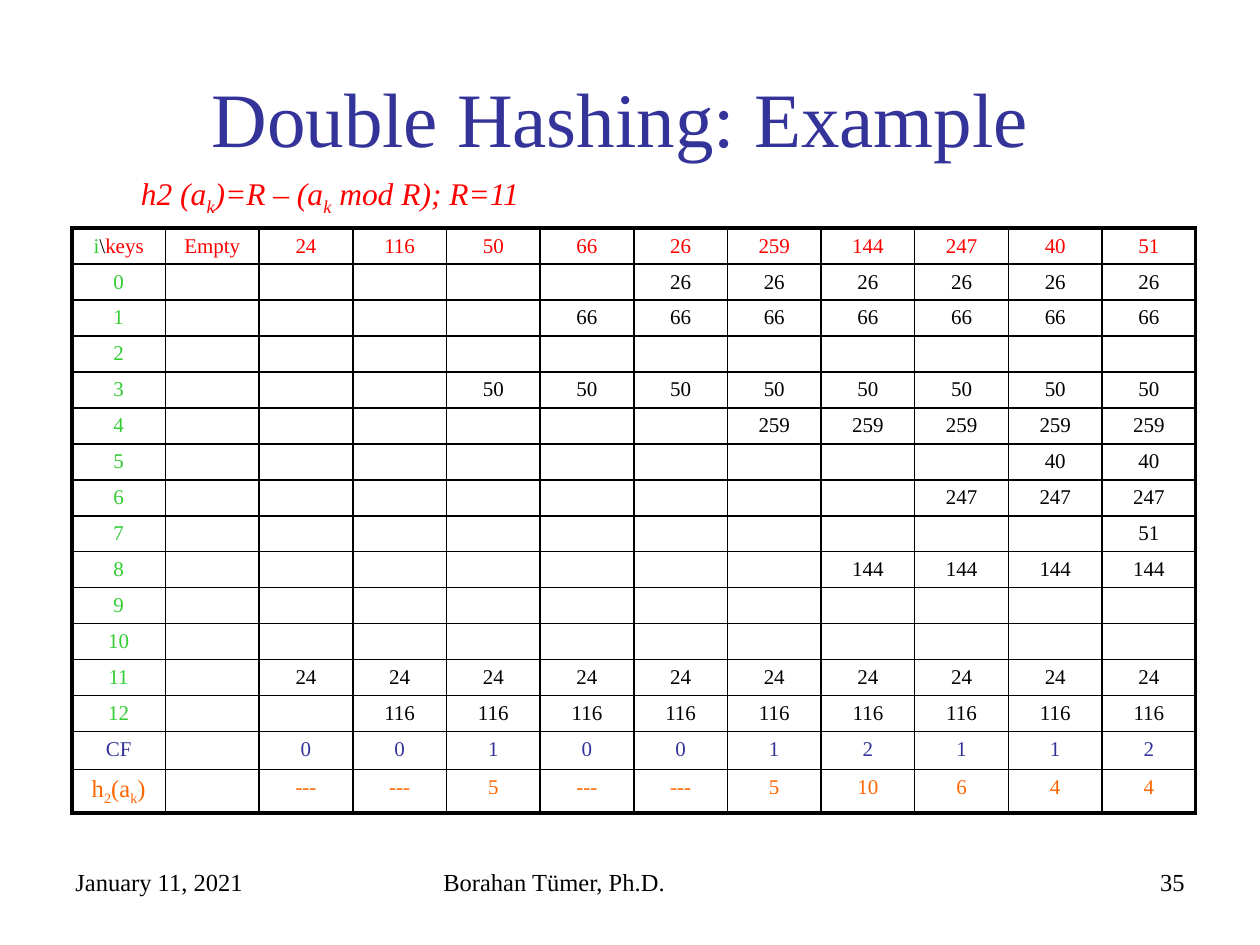
from dataclasses import dataclass

from lxml import etree
from pptx import Presentation
from pptx.dml.color import RGBColor
from pptx.enum import text as t
from pptx.oxml import ns
from pptx.util import Inches, Pt


@dataclass(frozen=True)
class Theme:
    font: str = "Times New Roman"
    black: str = "000000"
    blue: str = "333399"
    red: str = "FF0000"
    green: str = "33CC33"
    orange: str = "FF6600"
    head: int = 44
    rule: int = 18
    note: int = 14
    cell: int = 12
    thin: float = 1
    thick: float = 2.25


T = Theme()
LEFT, MID, RIGHT = t.PP_ALIGN.LEFT, t.PP_ALIGN.CENTER, t.PP_ALIGN.RIGHT

# key, slot it lands in, collisions, second hash
STEPS = [
    (24, 11, 0, "---"), (116, 12, 0, "---"), (50, 3, 1, 5), (66, 1, 0, "---"),
    (26, 0, 0, "---"), (259, 4, 1, 5), (144, 8, 2, 10), (247, 6, 1, 6),
    (40, 5, 1, 4), (51, 7, 2, 4),
]
SLOTS = 13


def write(frame, parts, size=T.cell, color=T.black, align=LEFT, italic=False):
    """Fill a frame with a string, or with (text, options) runs."""
    para = frame.paragraphs[0]
    para.alignment = align
    if isinstance(parts, str):
        parts = [(parts, {})]
    for words, opts in parts:
        run = para.add_run()
        run.text = words
        font = run.font
        font.name, font.size, font.italic = T.font, Pt(size), italic
        font.color.rgb = RGBColor.from_string(opts.get("color", color))
        if opts.get("sub"):
            font._element.set("baseline", "-25000")


def label(slide, box, parts, wrap=True, **fmt):
    frame = slide.shapes.add_textbox(*map(Inches, box)).text_frame
    frame.word_wrap = wrap
    write(frame, parts, **fmt)


def title(slide, words):
    shape = slide.shapes.title
    shape.left, shape.top = Inches(0.5), Inches(0.3)
    shape.width, shape.height = Inches(9), Inches(1.25)
    frame = shape.text_frame
    frame.auto_size = t.MSO_AUTO_SIZE.NONE
    frame.vertical_anchor = t.MSO_ANCHOR.MIDDLE
    write(frame, words, size=T.head, color=T.blue, align=MID)


def border(cell, **widths):
    """Draw the sides L, R, T and B, with widths in points."""
    props = cell._tc.get_or_add_tcPr()
    for side, width in widths.items():
        line = etree.SubElement(props, ns.qn(f"a:ln{side}"), w=str(Pt(width)))
        fill = etree.SubElement(line, ns.qn("a:solidFill"))
        etree.SubElement(fill, ns.qn("a:srgbClr"), val=T.black)


def rows():
    """Give each table row as a list of (parts, format) cells."""
    def line(name, color, vals, tint, size=T.cell):
        head = (name, dict(color=color, size=size))
        return [head] + [(str(v), dict(color=tint)) for v in vals]

    corner = [("i", dict(color=T.green)), ("\\", dict(color=T.black)), ("keys", {})]
    keys, _, hits, jumps = zip(*STEPS)
    grid = [line(corner, T.red, ["Empty", *keys], T.red)]
    for slot in range(SLOTS):
        vals, held = [""], ""
        for key, spot, _, _ in STEPS:
            held = key if spot == slot else held
            vals.append(held)
        grid.append(line(str(slot), T.green, vals, T.black))
    grid.append(line("CF", T.blue, ["", *hits], T.blue))
    sub = dict(sub=True)
    name = [("h", {}), ("2", sub), ("(a", {}), ("k", sub), (")", {})]
    grid.append(line(name, T.orange, ["", *jumps], T.orange, T.note))
    return grid


def table(slide, grid):
    high, wide = len(grid), len(grid[0])
    step = Inches(4) // 14
    tall = [step] * (high - 2) + [Inches(0.3), Inches(0.34)]
    width = Inches(8.92)
    tab = slide.shapes.add_table(
        high, wide, Inches(0.57), Inches(1.81), width, sum(tall)).table
    tab.first_row = tab.horz_banding = False
    for col in tab.columns:
        col.width = width // wide
    for row, size in zip(tab.rows, tall):
        row.height = size
    for r, line in enumerate(grid):
        for c, (parts, fmt) in enumerate(line):
            cell = tab.cell(r, c)
            cell.margin_top, cell.margin_bottom = Inches(0.05), Inches(0.03)
            cell.margin_left = cell.margin_right = Inches(0.05)
            edges = dict(L=c == 0, R=c == wide - 1, T=r == 0, B=r == high - 1)
            border(cell, **{s: T.thick if e else T.thin for s, e in edges.items()})
            cell.fill.background()
            if parts:
                write(cell.text_frame, parts, align=MID, **fmt)
            else:
                para = cell.text_frame.paragraphs[0]._p
                etree.SubElement(para, ns.qn("a:endParaRPr"), sz=str(T.cell * 100))


def main():
    deck = Presentation()
    deck.slide_width, deck.slide_height = Inches(10), Inches(7.5)
    slide = deck.slides.add_slide(deck.slide_layouts[5])
    foot = [(0.5, 2.33, "January 11, 2021", LEFT),
            (3.42, 3.17, "Borahan Tümer, Ph.D.", LEFT),
            (7.17, 2.33, "35", RIGHT)]
    for left, width, words, align in foot:
        label(slide, (left, 6.83, width, 0.52), words, size=T.note, align=align)
    title(slide, "Double Hashing: Example ")
    table(slide, rows())
    sub = ("k", dict(sub=True))
    rule = [("h2 (a", {}), sub, (")=R – (a", {}), sub, (" mod R); R=11", {})]
    label(slide, (1.02, 1.33, 3.24, 0.4), rule, wrap=False,
          size=T.rule, color=T.red, italic=True)
    deck.save("out.pptx")


if __name__ == "__main__":
    main()
